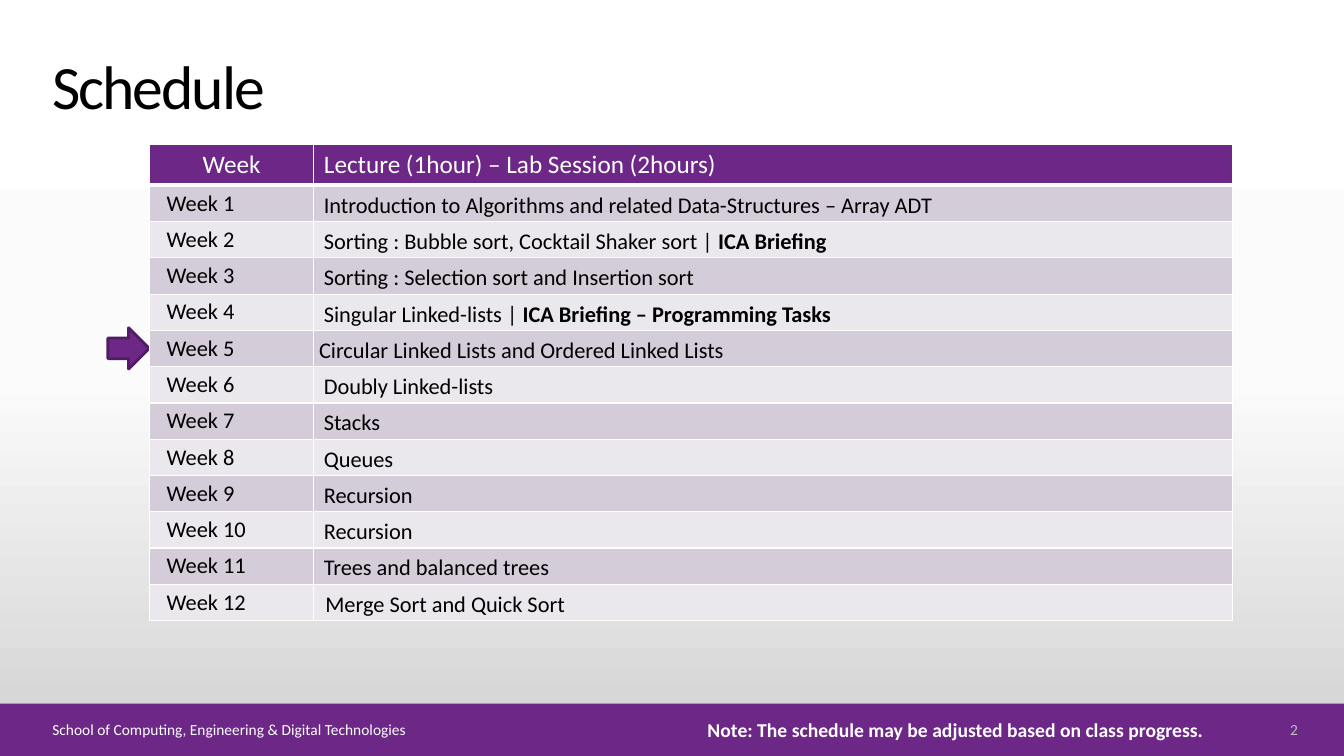
import copy

import lxml.etree
import pptx
import pptx.dml.color
import pptx.enum.shapes
import pptx.enum.text
import pptx.oxml.ns
import pptx.util
from pptx.util import Cm, Pt

RGBColor = pptx.dml.color.RGBColor
Anchor = pptx.enum.text.MSO_ANCHOR
Align = pptx.enum.text.PP_ALIGN
Preset = pptx.enum.shapes.MSO_SHAPE

PURPLE = RGBColor(0x6C, 0x27, 0x87)
DARK_PURPLE = RGBColor(0x50, 0x1D, 0x64)
BAND_DARK = RGBColor(0xD4, 0xCD, 0xD9)
BAND_LIGHT = RGBColor(0xEB, 0xE8, 0xED)
WHITE = RGBColor(0xFF, 0xFF, 0xFF)
BLACK = RGBColor(0, 0, 0)
GREY = RGBColor(0xBF, 0xBF, 0xBF)
BACKGROUND = [(0, WHITE), (0.5, RGBColor(0xFB, 0xFB, 0xFB)), (1, RGBColor(0xD1, 0xD1, 0xD1))]

# Plain topic, then the bold part
TOPICS = [
    ("Introduction to Algorithms and related Data-Structures – Array ADT", ""),
    ("Sorting : Bubble sort, Cocktail Shaker sort | ", "ICA Briefing"),
    ("Sorting : Selection sort and Insertion sort", ""),
    ("Singular Linked-lists | ", "ICA Briefing – Programming Tasks"),
    ("Circular Linked Lists and Ordered Linked Lists", ""),
    ("Doubly Linked-lists", ""),
    ("Stacks", ""),
    ("Queues", ""),
    ("Recursion", ""),
    ("Recursion", ""),
    ("Trees and balanced trees", ""),
    ("Merge Sort and Quick Sort", ""),
]
TOPIC_MARGIN = Cm(0.25)
SPECIAL_MARGINS = {5: Cm(0.13), 12: Cm(0.29)}


def add_run(paragraph, text, size, color, bold=False):
    run = paragraph.add_run()
    run.text = text
    run.font.color.rgb = color
    for name, value in {"name": "Calibri", "size": Pt(size), "bold": bold}.items():
        setattr(run.font, name, value)
    return run


def format_cell(cell, fill, bottom_width):
    """Give a cell its fill and white borders."""
    properties = cell._tc.get_or_add_tcPr()
    for side in "LRTB":
        width = bottom_width if side == "B" else 1
        line = lxml.etree.SubElement(
            properties, pptx.oxml.ns.qn(f"a:ln{side}"), w=str(Pt(width)))
        solid = lxml.etree.SubElement(line, pptx.oxml.ns.qn("a:solidFill"))
        lxml.etree.SubElement(solid, pptx.oxml.ns.qn("a:srgbClr"), val=str(WHITE))
    cell.fill.solid()
    cell.fill.fore_color.rgb = fill


presentation = pptx.Presentation()
presentation.slide_width = Cm(33.87)
presentation.slide_height = Cm(19.05)
slide = presentation.slides.add_slide(presentation.slide_layouts[5])

# Background
background = slide.background.fill
background.gradient()
background.gradient_angle = 270
stop_list = background._fill._gradFill.gsLst
stop_list.append(copy.deepcopy(stop_list[-1]))
for stop, (position, color) in zip(background.gradient_stops, BACKGROUND):
    stop.position = position
    stop.color.rgb = color

# Footer band and week marker
band = slide.shapes.add_shape(Preset.RECTANGLE, 0, Cm(17.73), Cm(33.87), Cm(1.32))
band.line.fill.background()
arrow = slide.shapes.add_shape(Preset.RIGHT_ARROW, Cm(2.72), Cm(8.26), Cm(1.04), Cm(1.04))
arrow.line.color.rgb = DARK_PURPLE
arrow.line.width = Pt(2)
for shape in (band, arrow):
    shape.shadow.inherit = False
    shape.fill.solid()
    shape.fill.fore_color.rgb = PURPLE

# Title
title = slide.shapes.title
title.left, title.top, title.width, title.height = Cm(1.07), Cm(1.02), Cm(26.42), Cm(2.21)
title.text_frame.vertical_anchor = Anchor.BOTTOM
title_paragraph = title.text_frame.paragraphs[0]
title_paragraph.alignment = Align.LEFT
title_paragraph.line_spacing = 0.9
title_run = add_run(title_paragraph, "Schedule", 44, BLACK)
title_run.font._element.set("spc", "-150")

# Schedule table
table = slide.shapes.add_table(
    len(TOPICS) + 1, 2, Cm(3.77), Cm(3.64), Cm(27.28), Cm(11.99)).table
table.columns[0].width = Cm(4.14)
table.columns[1].width = Cm(23.14)
table.rows[0].height = Cm(1.02)
headings = [("Week", Align.CENTER), ("Lecture (1hour) – Lab Session (2hours)", Align.LEFT)]
for column, (heading, alignment) in enumerate(headings):
    cell = table.cell(0, column)
    format_cell(cell, PURPLE, 3)
    paragraph = cell.text_frame.paragraphs[0]
    paragraph.alignment = alignment
    add_run(paragraph, heading, 18, WHITE)

for week, (topic, bold_part) in enumerate(TOPICS, 1):
    table.rows[week].height = Cm(0.914)
    week_cell, topic_cell = table.cell(week, 0), table.cell(week, 1)
    for cell in (week_cell, topic_cell):
        format_cell(cell, BAND_DARK if week % 2 else BAND_LIGHT, 1)
        cell.vertical_anchor = Anchor.MIDDLE
        cell.margin_top = cell.margin_bottom = 0
    week_cell.margin_left = Cm(0.43)
    topic_cell.margin_left = SPECIAL_MARGINS.get(week, TOPIC_MARGIN)
    add_run(week_cell.text_frame.paragraphs[0], f"Week {week}", 16, BLACK)
    paragraph = topic_cell.text_frame.paragraphs[0]
    paragraph.line_spacing = 1.15
    add_run(paragraph, topic, 16, BLACK)
    if bold_part:
        add_run(paragraph, bold_part, 16, BLACK, True)

# Footer texts: text, left, top, width, height, size, color, bold, alignment, wrap
footers = [
    ("School of Computing, Engineering & Digital Technologies",
     1.07, 18.08, 29.59, 0.58, 11, WHITE, False, Align.LEFT, True),
    ("2", 31.06, 18.08, 1.9, 0.58, 11, GREY, False, Align.RIGHT, True),
    ("Note: The schedule may be adjusted based on class progress.",
     17.58, 17.96, 13.08, 0.86, 14, WHITE, True, Align.LEFT, False),
]
for text, left, top, width, height, size, color, bold, alignment, wrap in footers:
    box = slide.shapes.add_textbox(Cm(left), Cm(top), Cm(width), Cm(height))
    box.text_frame.word_wrap = wrap
    box.text_frame.vertical_anchor = Anchor.MIDDLE
    paragraph = box.text_frame.paragraphs[0]
    paragraph.alignment = alignment
    add_run(paragraph, text, size, color, bold)

presentation.save("out.pptx")
